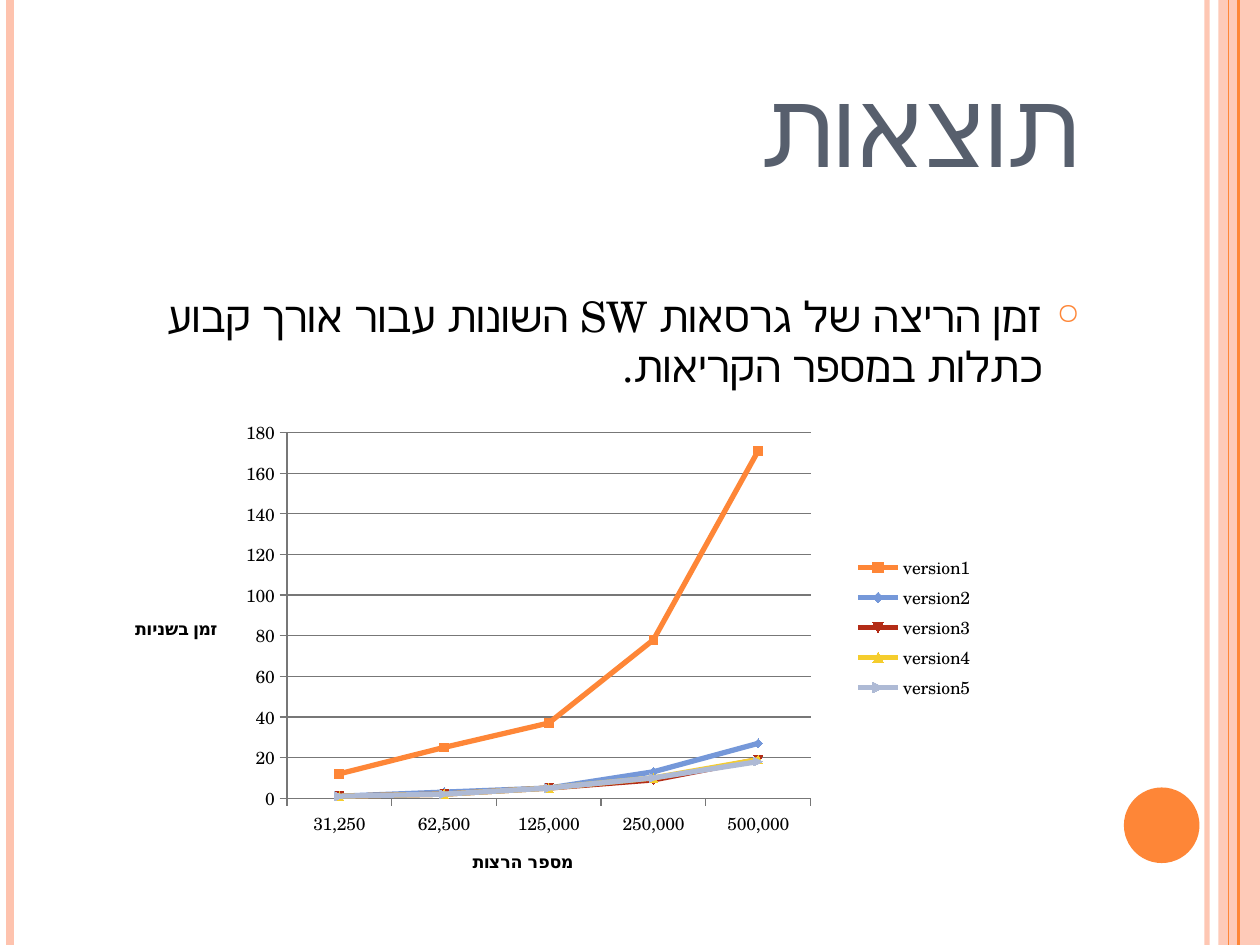
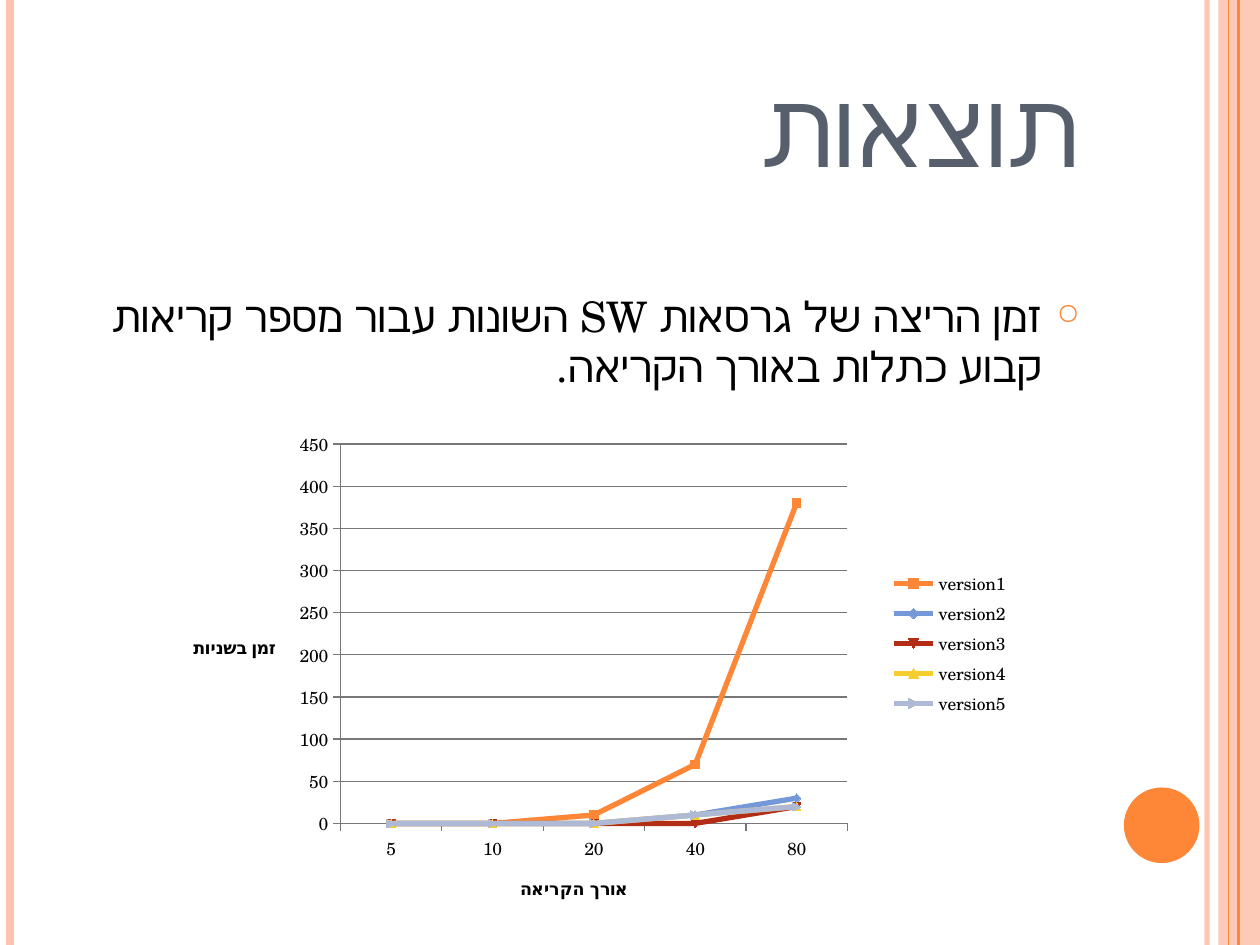
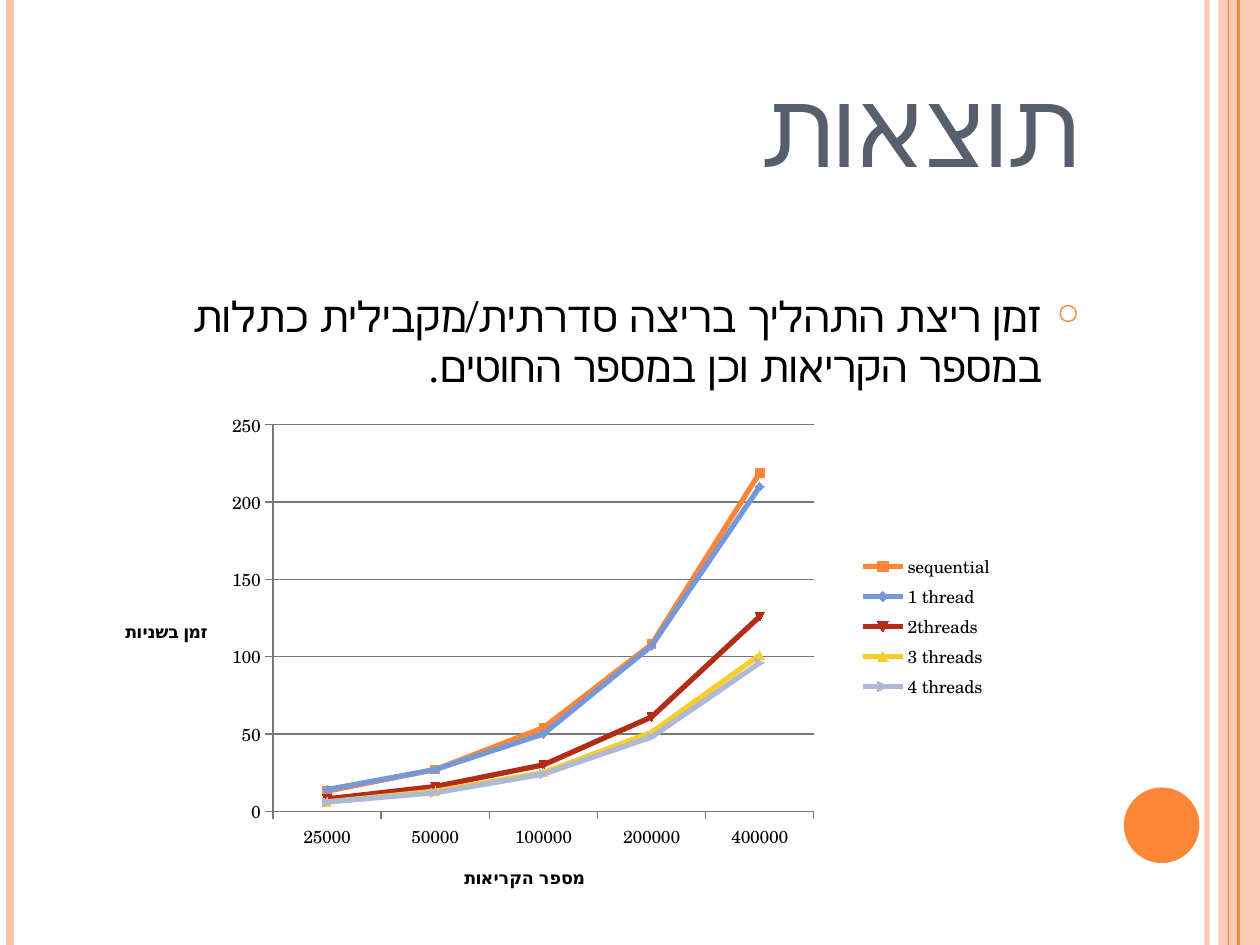
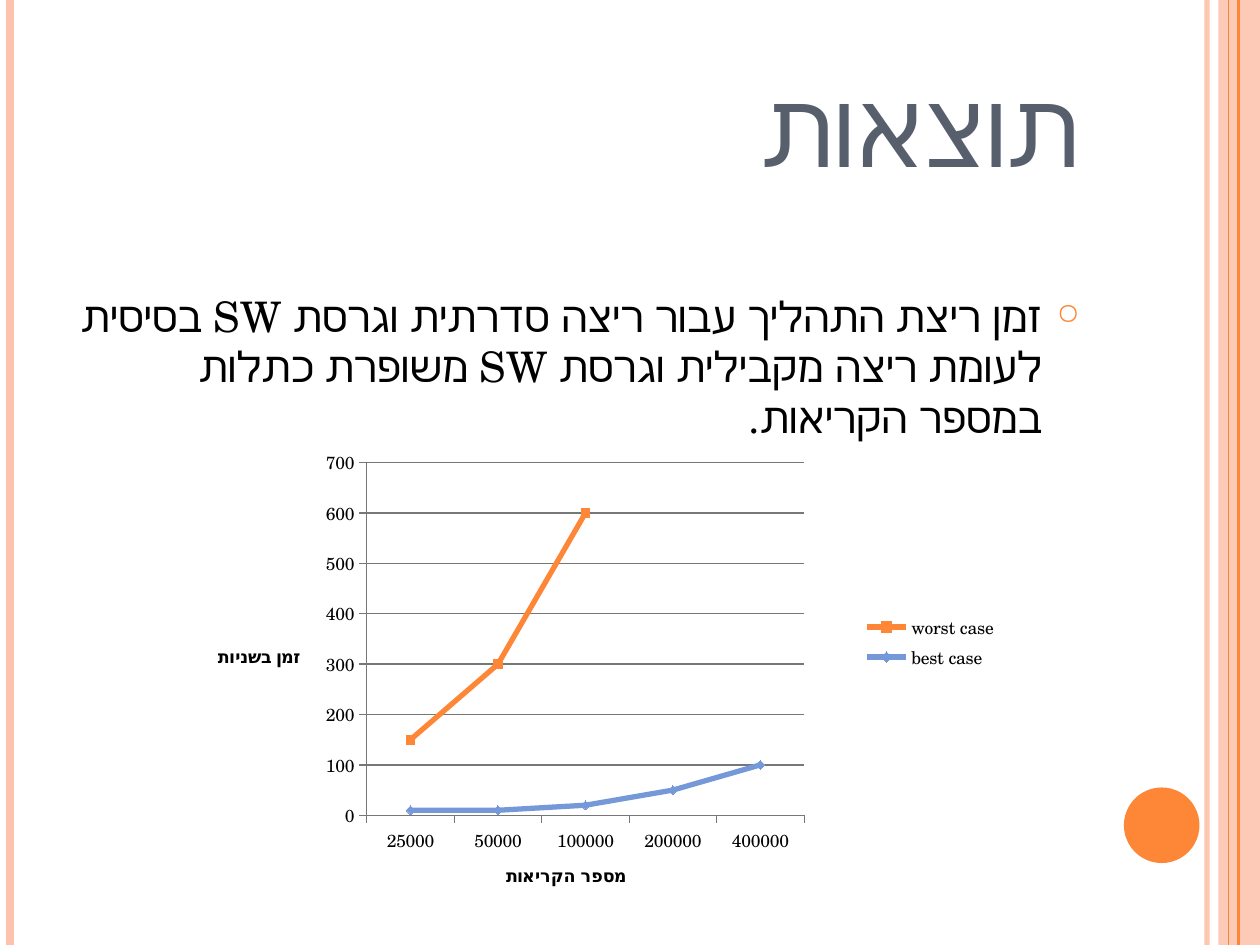
import dataclasses

import lxml.etree
import pptx
import pptx.chart.data
import pptx.dml.color
import pptx.enum.chart
import pptx.enum.shapes
import pptx.enum.text
import pptx.oxml
import pptx.oxml.ns
import pptx.util

Pt = pptx.util.Pt
qn = pptx.oxml.ns.qn


@dataclasses.dataclass(frozen=True)
class Theme:
    font: str = "TeX Gyre Schola"
    ink: str = "000000"
    slate: str = "575F6D"
    peach: str = "FEC3AE"
    orange: str = "FE8637"
    grid: str = "777777"
    lines: tuple = ("FE8637", "7598D9", "B32C16", "F5CD2D", "AEBAD5")
    head: int = 60
    body: int = 24
    small: int = 10


theme = Theme()
WIDE, HIGH = 720, 540
HEADING = "תוצאות"
SECONDS = "זמן בשניות"
READS = "מספר הקריאות"
COUNTS = ("25000", "50000", "100000", "200000", "400000")
PLOT = (0.2, 0.078, 0.574, 0.722)

slides = [
    dict(
        text="זמן הריצה של גרסאות SW השונות עבור אורך קבוע כתלות במספר הקריאות.",
        box=(59.76, 224.64, 521.28, 289.44), plot=PLOT,
        label="מספר הרצות", side=0.03, key=(0.82, 0.31), top=180, step=20,
        cats=("31,250", "62,500", "125,000", "250,000", "500,000"),
        rows={
            "version1": (12, 25, 37, 78, 171),
            "version2": (1, 3, 5, 13, 27),
            "version3": (1, 2, 5, 9, 19),
            "version4": (1, 2, 5, 10, 19),
            "version5": (1, 2, 5, 10, 18),
        },
    ),
    dict(
        text="זמן הריצה של גרסאות SW השונות עבור מספר קריאות קבוע כתלות באורך הקריאה.",
        box=(93.6, 230.4, 504.72, 300.24), plot=PLOT,
        label="אורך הקריאה", side=0.03, key=(0.82, 0.31), top=450, step=50,
        cats=("5", "10", "20", "40", "80"),
        rows={
            "version1": (0, 0, 10, 70, 380),
            "version2": (0, 0, 0, 10, 30),
            "version3": (0, 0, 0, 0, 20),
            "version4": (0, 0, 0, 10, 20),
            "version5": (0, 0, 0, 10, 20),
        },
    ),
    dict(
        text="זמן ריצת התהליך בריצה סדרתית/מקבילית כתלות במספר הקריאות וכן במספר החוטים.",
        box=(48.24, 218.88, 538.56, 306), plot=PLOT,
        label=READS, side=0.04, key=(0.82, 0.31), top=250, step=50,
        cats=COUNTS,
        rows={
            "sequential": (13, 27, 54, 108, 219),
            "1 thread": (14, 27, 50, 107, 210),
            "2threads": (8, 16, 30, 61, 126),
            "3 threads": (6, 13, 25, 51, 101),
            "4 threads": (6, 12, 24, 48, 96),
        },
    ),
    dict(
        text="זמן ריצת התהליך עבור ריצה סדרתית וגרסת SW בסיסית לעומת ריצה "
             "מקבילית וגרסת SW משופרת כתלות במספר הקריאות.",
        box=(87.84, 247.68, 498.96, 272.16), plot=(0.244, 0.061, 0.501, 0.741),
        label=READS, side=0.07, key=(0.81, 0.37), top=700, step=100,
        cats=COUNTS,
        rows={
            "worst case": (150, 300, 600, None, None),
            "best case": (10, 10, 20, 50, 100),
        },
    ),
]

rules = [
    (689.76, theme.peach, 3, 93),
    (5.76, theme.peach, 4.5, 100),
    (707.76, theme.orange, 1.5, 100),
    (702, theme.orange, 0.75, 100),
]
BAND = (696.24, 0, 23.76, HIGH)
DISC = (642.24, 450, 43.2, 43.2)
TITLE = (36, 21.6, 588.24, 90)
BODY = (36, 126, 588.24, 383.76)


def tint(code):
    return pptx.dml.color.RGBColor.from_string(code)


def points(box):
    return [Pt(side) for side in box]


def child(node, tag, **attrs):
    return lxml.etree.SubElement(node, qn(tag), attrs)


def fade(shape, share):
    for hue in shape._element.spPr.iter(qn("a:srgbClr")):
        child(hue, "a:alpha", val=str(share * 1000))


def write(frame, text, size, color, bold=False, caps=False, right=False, bullet=False):
    par = frame.paragraphs[0]
    run = par.add_run()
    run.text = text
    run.font.size = Pt(size)
    run.font.bold = bold
    run.font.name = theme.font
    run.font.color.rgb = tint(color)
    props = run._r.get_or_add_rPr()
    child(props, "a:cs", typeface=theme.font)
    if caps:
        props.set("cap", "small")
    if right:
        par.alignment = pptx.enum.text.PP_ALIGN.RIGHT
        par._p.get_or_add_pPr().set("rtl", "1")
    if bullet:
        form = par._p.get_or_add_pPr()
        form.set("marL", str(Pt(21.6)))
        form.set("indent", str(-Pt(21.6)))
        child(child(form, "a:buClr"), "a:srgbClr", val=theme.orange)
        child(form, "a:buSzPct", val="70000")
        child(form, "a:buChar", char="○")


def place(node, index, x, y, w=None, h=None):
    for old in node.findall(qn("c:layout")):
        node.remove(old)
    frame = lxml.etree.Element(qn("c:layout"))
    node.insert(index, frame)
    spot = child(frame, "c:manualLayout")
    if w:
        child(spot, "c:layoutTarget", val="inner")
    child(spot, "c:xMode", val="edge")
    child(spot, "c:yMode", val="edge")
    for name, size in zip("xywh", (x, y, w, h)):
        if size is not None:
            child(spot, "c:" + name, val=str(size))


def block(slide, kind, box, color):
    shape = slide.shapes.add_shape(kind, *points(box))
    shape.shadow.inherit = False
    shape.fill.solid()
    shape.fill.fore_color.rgb = tint(color)
    shape.line.fill.background()
    return shape


def frame_page(slide):
    kinds = pptx.enum.shapes.MSO_SHAPE
    fade(block(slide, kinds.RECTANGLE, BAND, theme.peach), 87)
    for x, color, width, share in rules:
        line = slide.shapes.add_connector(
            pptx.enum.shapes.MSO_CONNECTOR.STRAIGHT, *points((x, 0, x, HIGH)))
        line.line.color.rgb = tint(color)
        line.line.width = Pt(width)
        child(line._element.spPr, "a:effectLst")
        if share < 100:
            fade(line, share)
    block(slide, kinds.OVAL, DISC, theme.orange)


def add_title(slide):
    title = slide.shapes.title
    title.left, title.top, title.width, title.height = points(TITLE)
    frame = title.text_frame
    frame.auto_size = pptx.enum.text.MSO_AUTO_SIZE.NONE
    frame.vertical_anchor = pptx.enum.text.MSO_ANCHOR.BOTTOM
    write(frame, HEADING, theme.head, theme.slate, caps=True, right=True)


def add_body(slide, text):
    frame = slide.shapes.add_textbox(*points(BODY)).text_frame
    frame.word_wrap = True
    frame.margin_top = Pt(40)
    write(frame, text, theme.body, theme.ink, right=True, bullet=True)


def style_axis(axis, text, x, y):
    axis.major_tick_mark = pptx.enum.chart.XL_TICK_MARK.OUTSIDE
    axis.minor_tick_mark = pptx.enum.chart.XL_TICK_MARK.NONE
    axis.format.line.color.rgb = tint(theme.grid)
    axis.format.line.width = Pt(0.75)
    title = axis.axis_title
    write(title.text_frame, text, theme.small, theme.ink, bold=True)
    for form in title._element.iter(qn("a:bodyPr")):
        form.set("rot", "0")
        form.set("vert", "horz")
    place(title._element, 1, x, y)


def add_chart(slide, item):
    data = pptx.chart.data.CategoryChartData(number_format="General")
    data.categories = item["cats"]
    for name, row in item["rows"].items():
        data.add_series(name, row)
    chart = slide.shapes.add_chart(
        pptx.enum.chart.XL_CHART_TYPE.LINE_MARKERS, *points(item["box"]), data).chart
    chart.has_title = False
    chart.font.name = theme.font
    chart.font.size = Pt(theme.small)
    chart.font.color.rgb = tint(theme.ink)

    plot = chart.plots[0]
    plot.vary_by_categories = False
    for line, color in zip(plot.series, theme.lines):
        line.smooth = False
        line.format.line.color.rgb = tint(color)
        line.format.line.width = Pt(3)
        mark = line.marker.format
        mark.fill.solid()
        mark.fill.fore_color.rgb = tint(color)
        mark.line.color.rgb = tint(color)

    style_axis(chart.category_axis, item["label"], 0.4, 0.89)
    scale = chart.value_axis
    style_axis(scale, SECONDS, item["side"], 0.43)
    scale.minimum_scale, scale.maximum_scale = 0, item["top"]
    scale.major_unit = item["step"]
    scale.has_major_gridlines = True
    scale.major_gridlines.format.line.color.rgb = tint(theme.grid)
    scale.major_gridlines.format.line.width = Pt(0.75)

    chart.has_legend = True
    chart.legend.position = pptx.enum.chart.XL_LEGEND_POSITION.LEFT
    chart.legend.include_in_layout = False
    place(chart.legend._element, 1, *item["key"])
    place(chart._chartSpace.chart.plotArea, 0, *item["plot"])


deck = pptx.Presentation()
deck.slide_width, deck.slide_height = Pt(WIDE), Pt(HIGH)
for item in slides:
    slide = deck.slides.add_slide(deck.slide_layouts[5])
    frame_page(slide)
    add_title(slide)
    add_body(slide, item["text"])
    add_chart(slide, item)
deck.save("out.pptx")
